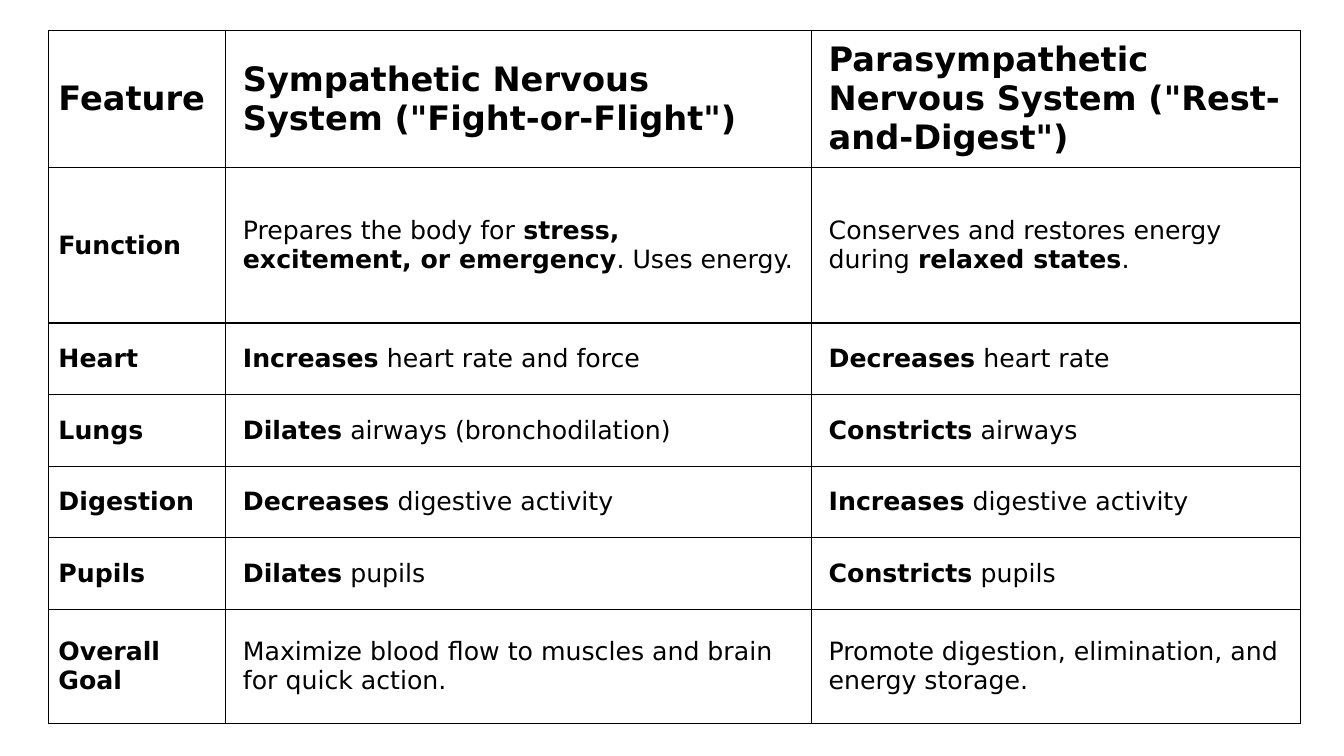
from dataclasses import dataclass
from lxml.etree import SubElement as Sub
from pptx import Presentation
from pptx.dml.color import RGBColor as Color
from pptx.enum.text import MSO_ANCHOR as Anchor
from pptx.oxml.ns import qn
from pptx.util import Inches, Pt


@dataclass(frozen=True)
class Theme:
    font: str = "DejaVu Sans"
    ink: str = "000000"
    head: int = 24
    body: int = 18
    line: int = 1


WIDTHS = [1.76, 5.81, 4.85]
HEIGHTS = [1.13, 1.54] + [0.71] * 4 + [1.13]
ROWS = [
    ("*Feature*", '*Sympathetic Nervous System ("Fight-or-Flight")*',
     '*Parasympathetic Nervous System ("Rest-and-Digest")*'),
    ("*Function*", "Prepares the body for *stress, excitement, or emergency*. Uses energy.",
     "Conserves and restores energy during *relaxed states*."),
    ("*Heart*", "*Increases* heart rate and force", "*Decreases* heart rate"),
    ("*Lungs*", "*Dilates* airways (bronchodilation)", "*Constricts* airways"),
    ("*Digestion*", "*Decreases* digestive activity", "*Increases* digestive activity"),
    ("*Pupils*", "*Dilates* pupils", "*Constricts* pupils"),
    ("*Overall Goal*", "Maximize blood flow to muscles and brain for quick action.",
     "Promote digestion, elimination, and energy storage."),
]


def write(frame, text, *, font, size, color):
    para = frame.paragraphs[0]
    for i, part in enumerate(text.split("*")):
        if part:
            run = para.add_run()
            run.text = part
            run.font.name = font
            run.font.size = Pt(size)
            run.font.bold = i % 2 == 1
            run.font.color.rgb = Color.from_string(color)


class Deck:
    def __init__(self, theme):
        self.theme = theme
        self.file = Presentation()
        self.file.slide_width = Inches(13.33)
        self.file.slide_height = Inches(7.5)
        self.slide = self.file.slides.add_slide(self.file.slide_layouts[6])

    def border(self, cell):
        props = cell._tc.get_or_add_tcPr()
        for i, side in enumerate(("lnL", "lnR", "lnT", "lnB")):
            line = props.makeelement(qn(f"a:{side}"), {"w": str(Pt(self.theme.line))})
            fill = Sub(line, qn("a:solidFill"))
            Sub(fill, qn("a:srgbClr"), val=self.theme.ink)
            props.insert(i, line)

    def cell(self, cell, text, size, left):
        cell.fill.background()
        cell.vertical_anchor = Anchor.MIDDLE
        cell.margin_left = Inches(left)
        cell.margin_right = Inches(0.17)
        cell.margin_top = cell.margin_bottom = Inches(0.1)
        write(cell.text_frame, text, font=self.theme.font, size=size, color=self.theme.ink)
        self.border(cell)

    def table(self, x, y, widths, heights, rows):
        area = map(Inches, (x, y, sum(widths), sum(heights)))
        grid = self.slide.shapes.add_table(len(rows), len(widths), *area).table
        grid.first_row = grid.horz_banding = False
        for col, width in zip(grid.columns, widths):
            col.width = Inches(width)
        for r, (texts, height) in enumerate(zip(rows, heights)):
            grid.rows[r].height = Inches(height)
            size = self.theme.body if r else self.theme.head
            for c, text in enumerate(texts):
                self.cell(grid.cell(r, c), text, size, 0.17 if c else 0.1)


def main():
    deck = Deck(Theme())
    deck.table(0.48, 0.3, WIDTHS, HEIGHTS, ROWS)
    deck.file.save("out.pptx")


if __name__ == "__main__":
    main()
